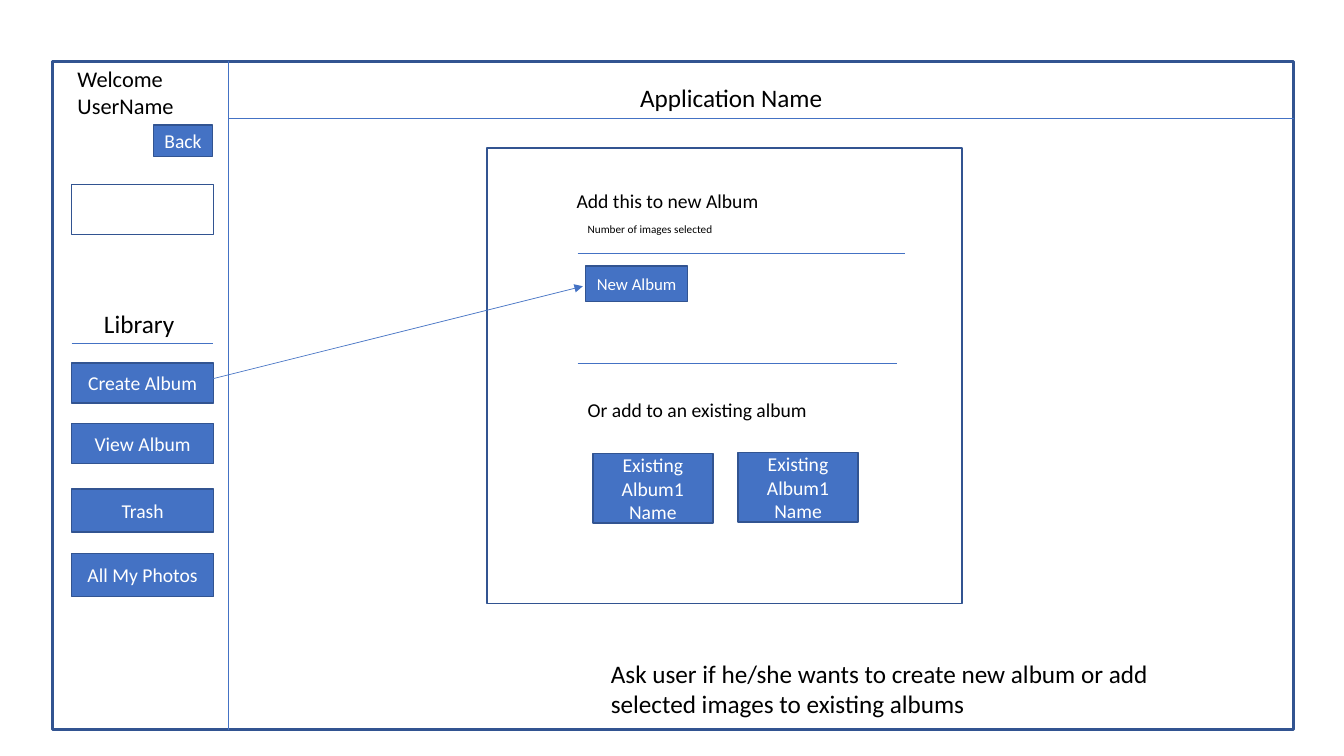
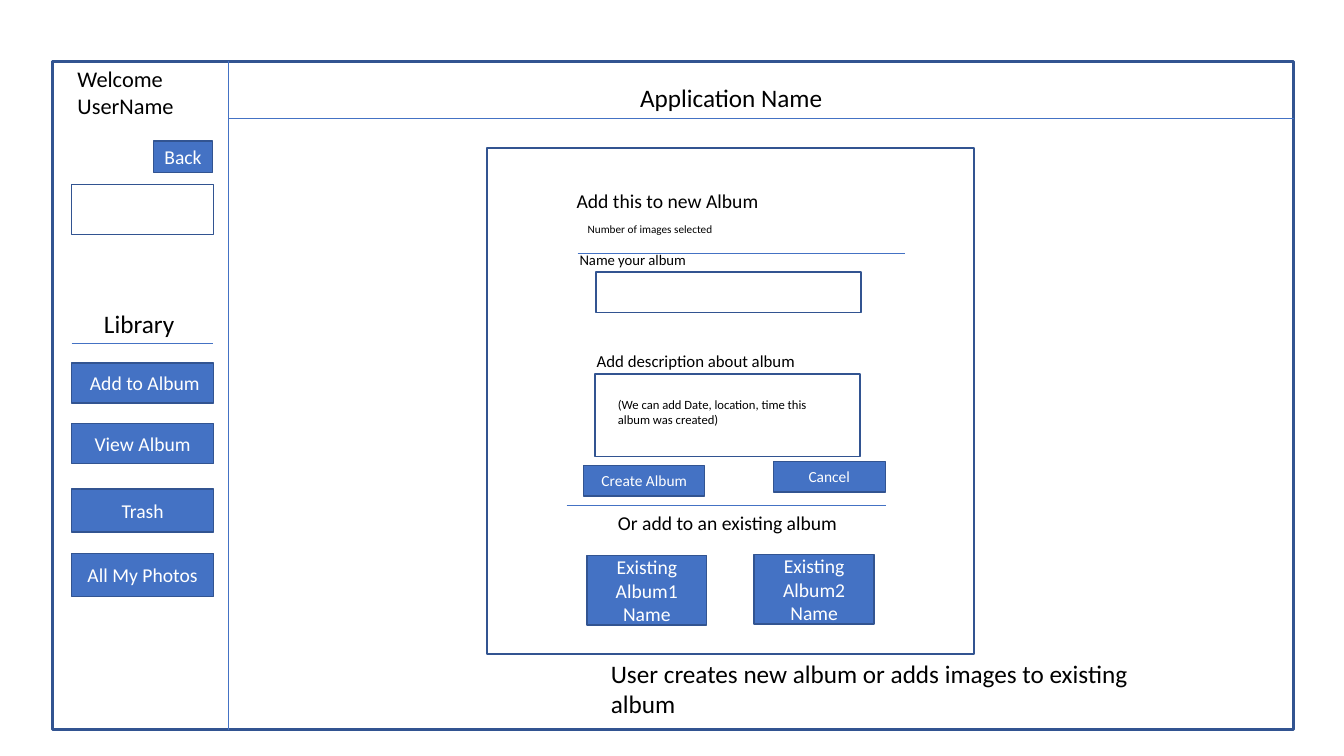
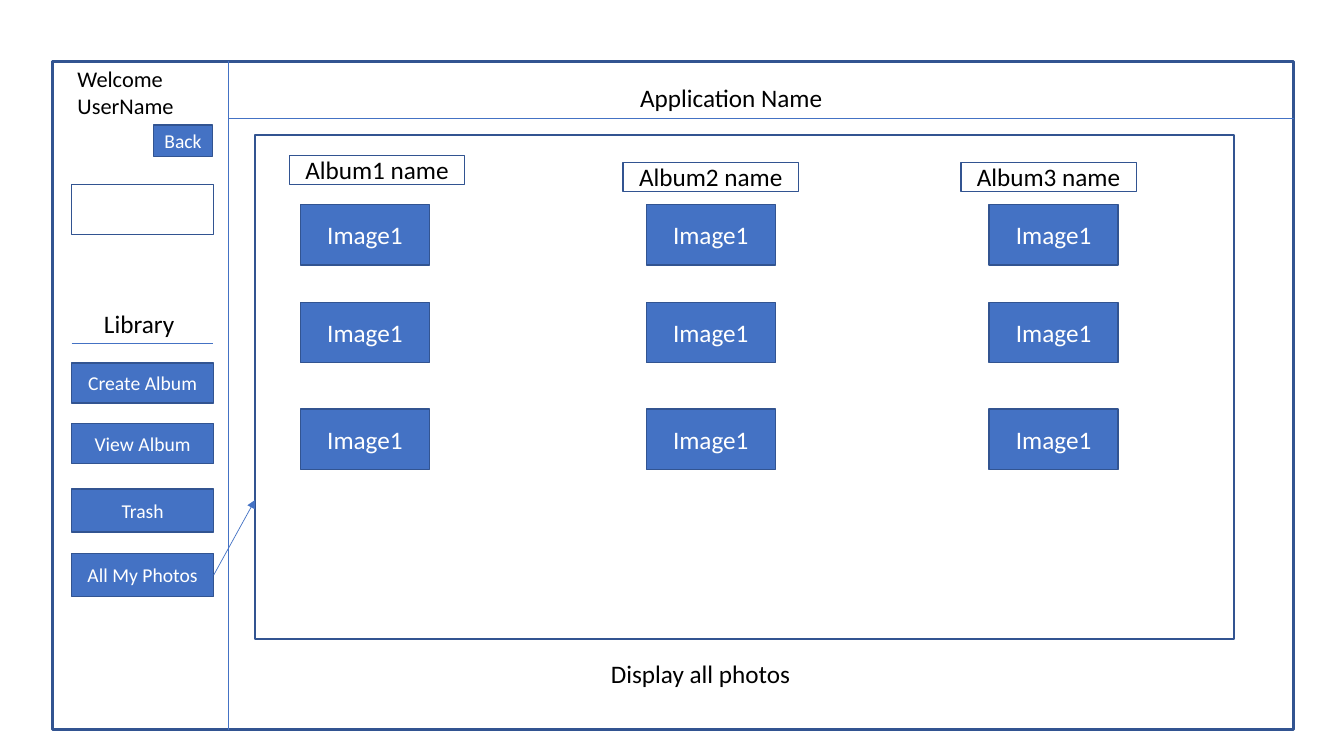
from dataclasses import dataclass

from lxml import etree
from pptx import Presentation
from pptx import util as u
from pptx.dml.color import RGBColor
from pptx.enum import shapes, text
from pptx.oxml import ns
from pptx.shapes.autoshape import Shape
from pptx.shapes.connector import Connector
from pptx.slide import Slide

COLORS = {"blue": "4472C4", "border": "325491", "text": "000000", "white": "FFFFFF"}
FONT = "Calibri"


@dataclass(frozen=True)
class Box:
    """A rectangle in inches, plain unless it is filled as a button."""
    left: float
    top: float
    width: float
    height: float
    label: str = ""
    size: float = 14
    filled: bool = False
    border: float = 1


@dataclass(frozen=True)
class Caption:
    left: float
    top: float
    width: float
    height: float
    label: str
    size: float = 14
    centered: bool = False


@dataclass(frozen=True)
class Rule:
    """A straight line between two points in inches."""
    x1: float
    y1: float
    x2: float
    y2: float
    arrow: bool = False


def color(name: str) -> RGBColor:
    return RGBColor.from_string(COLORS[name])


def lengths(item: Box | Caption) -> list[u.Length]:
    return [u.Inches(value) for value in (item.left, item.top, item.width, item.height)]


def write(shape: Shape, label: str, size: float, ink: str, centered: bool) -> None:
    shape.text_frame.text = label
    paragraph = shape.text_frame.paragraphs[0]
    paragraph.alignment = text.PP_ALIGN.CENTER if centered else text.PP_ALIGN.LEFT
    font = paragraph.runs[0].font
    font.name, font.size = FONT, u.Pt(size)
    font.color.rgb = color(ink)


def add_box(slide: Slide, box: Box) -> Shape:
    shape = slide.shapes.add_shape(shapes.MSO_SHAPE.RECTANGLE, *lengths(box))
    shape.shadow.inherit = False
    shape.line.color.rgb = color("border")
    shape.line.width = u.Pt(box.border)
    if box.filled:
        shape.fill.solid()
        shape.fill.fore_color.rgb = color("blue")
    else:
        shape.fill.background()
    if box.label:
        shape.text_frame.vertical_anchor = text.MSO_ANCHOR.MIDDLE
        write(shape, box.label, box.size, "white" if box.filled else "text", True)
    return shape


def add_caption(slide: Slide, caption: Caption) -> None:
    shape = slide.shapes.add_textbox(*lengths(caption))
    shape.text_frame.word_wrap = True
    shape.text_frame.auto_size = text.MSO_AUTO_SIZE.SHAPE_TO_FIT_TEXT
    write(shape, caption.label, caption.size, "text", caption.centered)


def add_rule(slide: Slide, rule: Rule) -> Connector:
    ends = [u.Inches(value) for value in (rule.x1, rule.y1, rule.x2, rule.y2)]
    connector = slide.shapes.add_connector(shapes.MSO_CONNECTOR.STRAIGHT, *ends)
    connector.line.color.rgb = color("blue")
    connector.line.width = u.Pt(0.5)
    if rule.arrow:
        etree.SubElement(connector.get_or_add_ln(), ns.qn("a:tailEnd"), type="triangle")
    etree.SubElement(connector.element.spPr, ns.qn("a:effectLst"))
    return connector


def add_all(slide: Slide, items: list[Box | Caption | Rule]) -> None:
    adders = {Box: add_box, Caption: add_caption, Rule: add_rule}
    for item in items:
        adders[type(item)](slide, item)


def add_screen(presentation: Presentation, note: str, note_height: float = 0.71,
               first_action: str = "Create Album",
               back_top: float = 1.24) -> tuple[Slide, list[Shape]]:
    """Add a slide with the window frame; return it with its library buttons."""
    slide = presentation.slides.add_slide(presentation.slide_layouts[6])
    add_all(slide, [
        Box(0.52, 0.61, 12.31, 6.63, border=2.25),
        Rule(2.27, 0.61, 2.27, 7.24),
        Rule(2.27, 1.17, 12.83, 1.17),
        Caption(6.25, 0.77, 2.47, 0.4, "Application Name", 18),
        Caption(0.67, 0.6, 1.45, 0.64, "Welcome UserName", 16),
        Box(1.52, back_top, 0.59, 0.31, "Back", filled=True),
        Box(0.71, 1.83, 1.41, 0.5),
        Caption(0.71, 3.01, 1.34, 0.4, "Library", 18, centered=True),
        Rule(0.71, 3.41, 2.11, 3.41),
        Caption(5.96, 6.48, 5.89, note_height, note, 18),
    ])
    actions = [(first_action, 3.6, 0.4), ("View Album", 4.2, 0.4),
               ("Trash", 4.85, 0.43), ("All My Photos", 5.49, 0.43)]
    buttons = [add_box(slide, Box(0.71, top, 1.41, height, label, filled=True))
               for label, top, height in actions]
    return slide, buttons


def add_album_dialog(slide: Slide, width: float, height: float) -> None:
    add_all(slide, [
        Box(4.83, 1.47, width, height),
        Caption(5.62, 1.83, 3.09, 0.34, "Add this to new Album"),
        Caption(5.73, 2.16, 1.57, 0.24, "Number of images selected", 8),
        Rule(5.73, 2.51, 8.98, 2.51),
    ])


def add_existing_albums(slide: Slide, rule_left: float, rule_top: float, heading: Caption,
                        albums: list[tuple[float, float, int]]) -> None:
    add_rule(slide, Rule(rule_left, rule_top, rule_left + 3.17, rule_top))
    add_caption(slide, heading)
    for left, top, number in albums:
        label = f"Existing Album{number} Name"
        add_box(slide, Box(left, top, 1.19, 0.69, label, filled=True))


def build_choose_album(presentation: Presentation) -> None:
    slide, _ = add_screen(presentation, "Ask user if he/she wants to create new album "
                                        "or add selected images to existing albums")
    add_album_dialog(slide, 4.71, 4.52)
    add_box(slide, Box(5.81, 2.64, 1.01, 0.35, "New Album", 12, filled=True))
    add_existing_albums(slide, 5.73, 3.6,
                        Caption(5.73, 3.9, 2.54, 0.34, "Or add to an existing album"),
                        [(5.88, 4.5, 1), (7.32, 4.49, 1)])
    add_rule(slide, Rule(1.94, 3.8, 5.78, 2.84, arrow=True))


def build_create_album(presentation: Presentation) -> None:
    slide, _ = add_screen(presentation,
                          "User creates new album or adds images to existing album",
                          first_action=" Add to Album", back_top=1.4)
    add_album_dialog(slide, 4.83, 5.02)
    add_all(slide, [
        Caption(5.65, 2.44, 2.45, 0.29, "Name your album", 10.5),
        Box(5.91, 2.7, 2.63, 0.4),
        Caption(5.82, 3.43, 2.38, 0.3, "Add description about album", 12),
        Box(5.9, 3.71, 2.63, 0.82),
        Caption(6.03, 3.89, 2.3, 0.4,
                "(We can add Date, location, time this album was created)", 9),
        Box(5.79, 4.62, 1.2, 0.3, "Create Album", 11, filled=True),
        Box(7.67, 4.58, 1.11, 0.3, "Cancel", 11, filled=True),
    ])
    add_existing_albums(slide, 5.62, 5.01,
                        Caption(6.03, 5.02, 2.54, 0.34, "Or add to an existing album"),
                        [(5.82, 5.51, 1), (7.48, 5.5, 2)])


def build_all_photos(presentation: Presentation) -> None:
    slide, buttons = add_screen(presentation, "Display all photos", note_height=0.4)
    add_box(slide, Box(2.53, 1.34, 9.71, 5))
    albums = [(2.87, 1.54, 2.98), (6.18, 1.61, 6.41), (9.53, 1.61, 9.81)]
    for number, (name_left, name_top, image_left) in enumerate(albums, start=1):
        add_box(slide, Box(name_left, name_top, 1.74, 0.29, f"Album{number} name", 18))
        for image_top in (2.03, 3, 4.06):
            add_box(slide, Box(image_left, image_top, 1.28, 0.6, "Image1", 18, filled=True))
    arrow = add_rule(slide, Rule(2.11, 5.71, 2.53, 4.96, arrow=True))
    arrow.begin_connect(buttons[-1], 3)


def main() -> None:
    presentation = Presentation()
    presentation.slide_width = u.Inches(13.33)
    presentation.slide_height = u.Inches(7.5)
    build_choose_album(presentation)
    build_create_album(presentation)
    build_all_photos(presentation)
    presentation.save("out.pptx")


if __name__ == "__main__":
    main()
